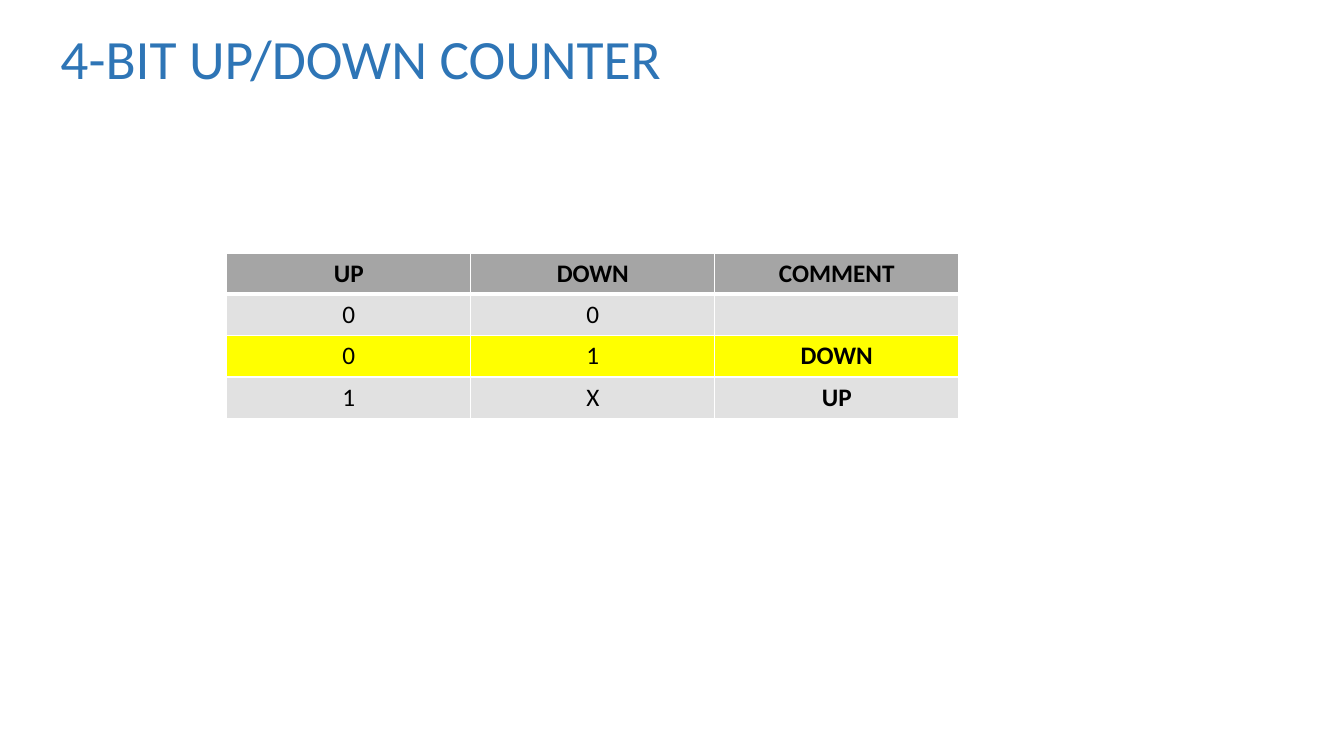
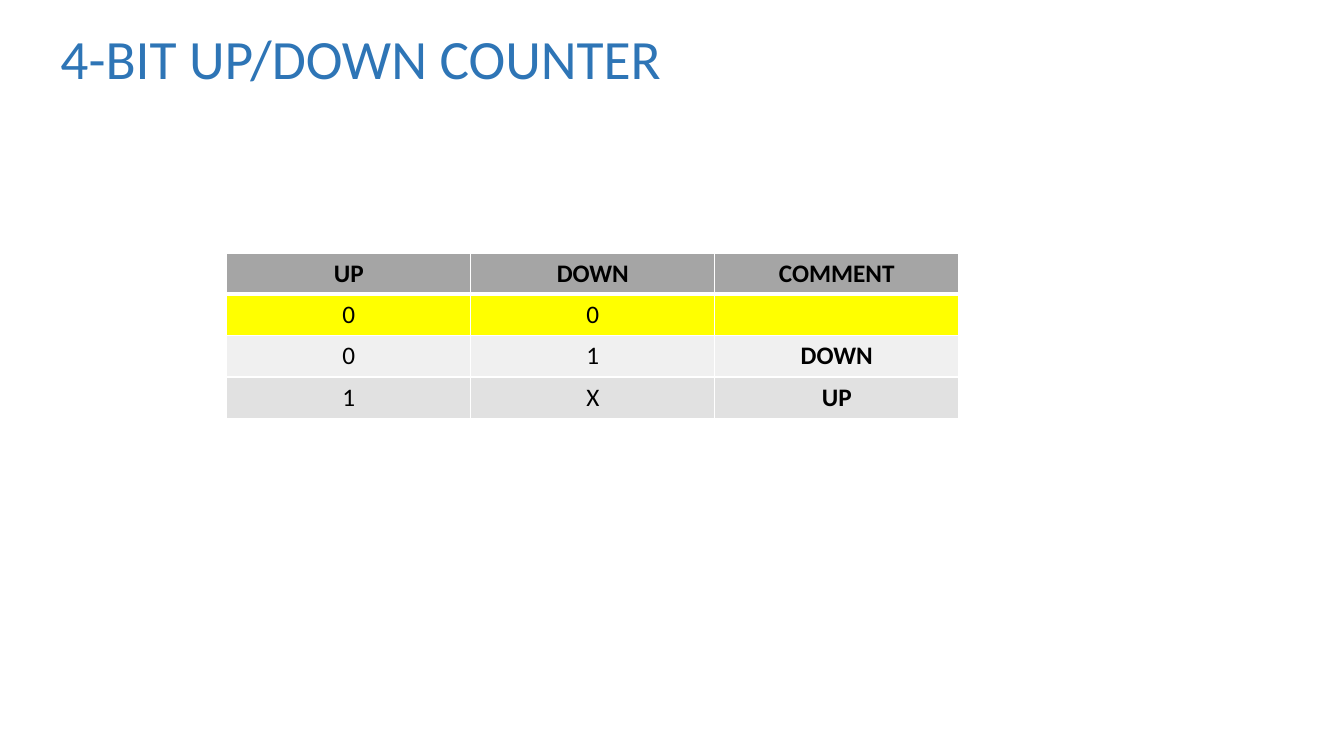
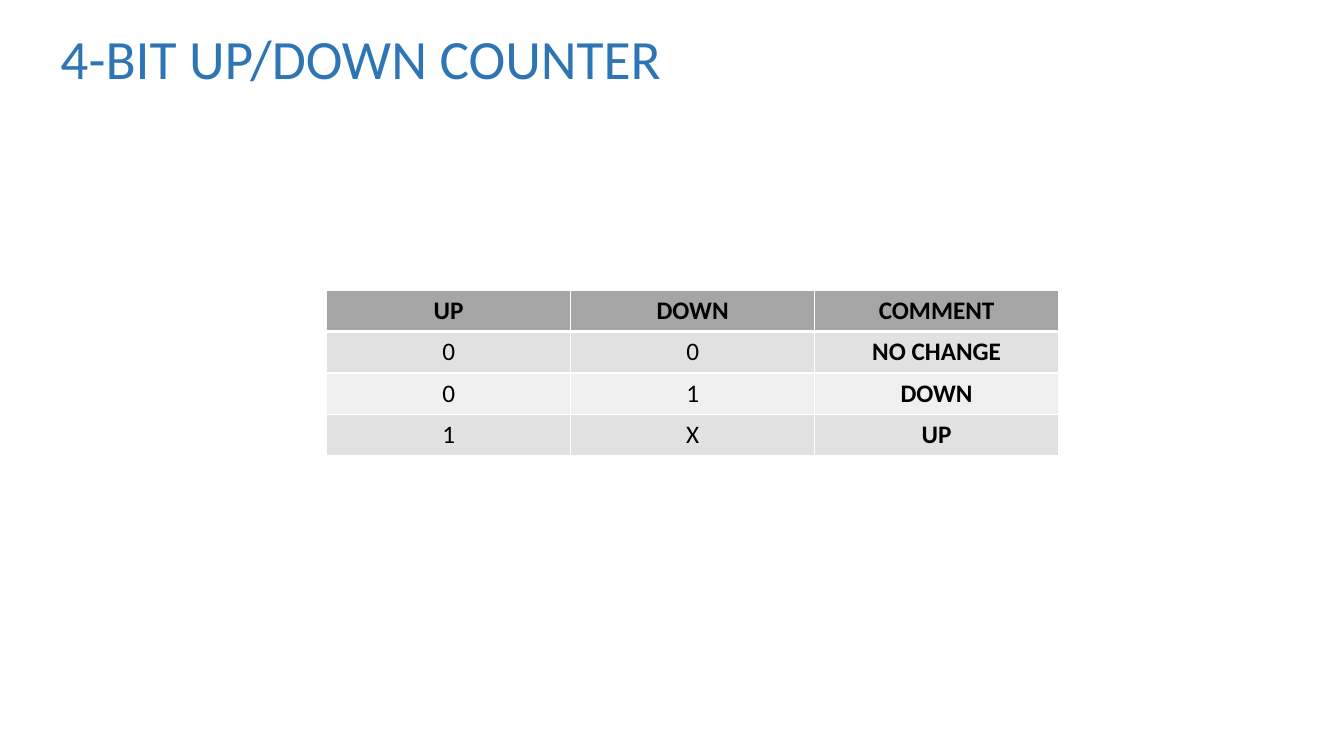
from dataclasses import dataclass

from lxml.etree import SubElement
from pptx import Presentation
from pptx.dml.color import RGBColor
from pptx.enum.text import MSO_ANCHOR, PP_ALIGN
from pptx.oxml.ns import qn
from pptx.presentation import Presentation as PresentationType
from pptx.slide import Slide
from pptx.table import _Cell
from pptx.util import Inches, Pt


@dataclass(frozen=True)
class Theme:
    font: str = "Calibri"
    title_size: float = 39.6
    cell_size: float = 18
    title: str = "2E75B6"
    text: str = "000000"
    border: str = "FFFFFF"
    header: str = "A5A5A5"
    bands: tuple[str, str] = ("E1E1E1", "F0F0F0")
    highlight: str = "FFFF00"
    thin: float = 1
    thick: float = 3


@dataclass(frozen=True)
class CounterSlide:
    left: float
    top: float
    hold_comment: str = ""
    highlighted_row: int | None = None


THEME = Theme()
TITLE = "4-BIT UP/DOWN COUNTER\v"
HEADER = ("UP", "DOWN", "COMMENT")
COLUMN_WIDTH = 2.42
ROW_HEIGHT = 0.41
COMMENT_COLUMN = 2
COUNTER_SLIDES = (
    CounterSlide(2.25, 2.51, highlighted_row=2),
    CounterSlide(2.25, 2.51, highlighted_row=1),
    CounterSlide(3.24, 2.88, hold_comment="NO CHANGE"),
)


def add_title(slide: Slide) -> None:
    title = slide.shapes.title
    title.left, title.top = Inches(0.5), Inches(0.4)
    title.width, title.height = Inches(7.61), Inches(1.09)
    title.text_frame.vertical_anchor = MSO_ANCHOR.MIDDLE
    title.text_frame.text = TITLE
    paragraph = title.text_frame.paragraphs[0]
    paragraph.alignment = PP_ALIGN.LEFT
    paragraph.line_spacing = 0.9
    paragraph.font.name = THEME.font
    paragraph.font.size = Pt(THEME.title_size)
    paragraph.font.color.rgb = RGBColor.from_string(THEME.title)


def set_borders(cell: _Cell, row: int) -> None:
    properties = cell._tc.get_or_add_tcPr()
    widths = {
        "a:lnL": THEME.thin,
        "a:lnR": THEME.thin,
        "a:lnT": THEME.thick if row == 1 else THEME.thin,
        "a:lnB": THEME.thick if row == 0 else THEME.thin,
    }
    for position, (tag, width) in enumerate(widths.items()):
        line = SubElement(properties, qn(tag), w=str(Pt(width)))
        fill = SubElement(line, qn("a:solidFill"))
        SubElement(fill, qn("a:srgbClr"), val=THEME.border)
        properties.insert(position, line)


def row_fill(row: int, highlighted_row: int | None) -> str:
    if row == 0:
        return THEME.header
    if row == highlighted_row:
        return THEME.highlight
    return THEME.bands[(row - 1) % 2]


def format_cell(cell: _Cell, text: str, fill: str, bold: bool) -> None:
    cell.text = text
    cell.vertical_anchor = MSO_ANCHOR.MIDDLE
    cell.fill.solid()
    cell.fill.fore_color.rgb = RGBColor.from_string(fill)
    paragraph = cell.text_frame.paragraphs[0]
    paragraph.alignment = PP_ALIGN.CENTER
    paragraph.font.name = THEME.font
    paragraph.font.size = Pt(THEME.cell_size)
    paragraph.font.bold = bold
    paragraph.font.color.rgb = RGBColor.from_string(THEME.text)


def add_truth_table(slide: Slide, content: CounterSlide) -> None:
    rows = (
        HEADER,
        ("0", "0", content.hold_comment),
        ("0", "1", "DOWN"),
        ("1", "X", "UP"),
    )
    table = slide.shapes.add_table(
        len(rows), len(HEADER), Inches(content.left), Inches(content.top),
        Inches(COLUMN_WIDTH * len(HEADER)), Inches(ROW_HEIGHT * len(rows)),
    ).table
    for row, texts in enumerate(rows):
        fill = row_fill(row, content.highlighted_row)
        for column, text in enumerate(texts):
            cell = table.cell(row, column)
            format_cell(cell, text, fill, row == 0 or column == COMMENT_COLUMN)
            set_borders(cell, row)


def add_counter_slide(presentation: PresentationType, content: CounterSlide) -> None:
    slide = presentation.slides.add_slide(presentation.slide_layouts[5])
    add_title(slide)
    add_truth_table(slide, content)


def main() -> None:
    presentation = Presentation()
    presentation.slide_width = Inches(13.33)
    presentation.slide_height = Inches(7.5)
    for content in COUNTER_SLIDES:
        add_counter_slide(presentation, content)
    presentation.save("out.pptx")


if __name__ == "__main__":
    main()
